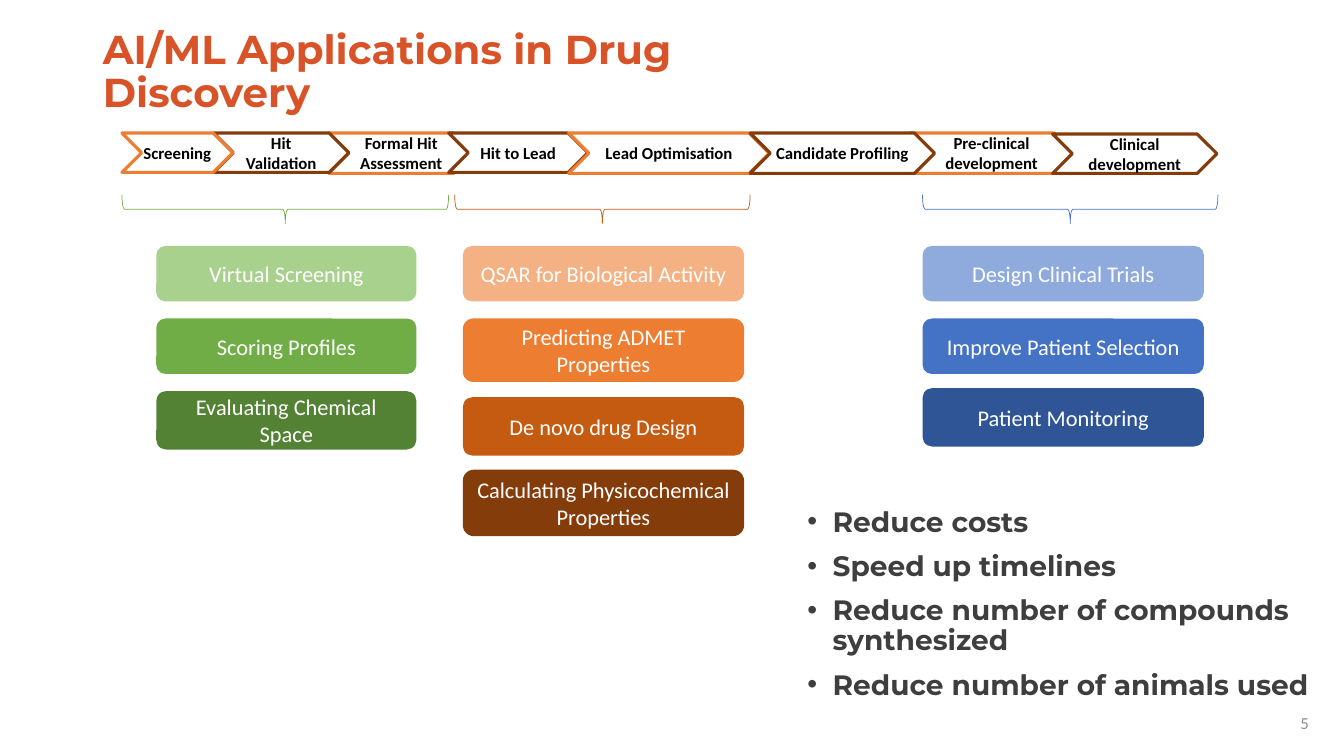
from dataclasses import dataclass

import pptx
import pptx.dml.color
import pptx.enum.shapes
import pptx.enum.text
import pptx.util
from lxml import etree
from pptx.util import Inches

COLORS = {
    "title": "D85327", "body": "3E3E3E", "number": "8C8C8C",
    "black": "000000", "white": "FFFFFF",
    "green light": "A9D18E", "green": "70AD47", "green dark": "548235",
    "orange light": "F4B183", "orange": "ED7D31", "rust": "C55A11", "brown": "843C0B",
    "blue light": "8FAADC", "blue": "4472C4", "blue dark": "2F5597",
}
SHAPES = pptx.enum.shapes.MSO_SHAPE
ALIGN = pptx.enum.text.PP_ALIGN
BRACE_TOP, BRACE_DEPTH = 1.93, 0.29


@dataclass
class Stage:
    label: str
    left: float
    width: float
    color: str
    top: float = 1.32
    height: float = 0.4


@dataclass
class Card:
    label: str
    color: str
    top: float
    height: float


@dataclass
class Column:
    left: float
    width: float
    brace_left: float
    brace_span: float
    brace_color: str
    cards: list[Card]


# Listed from back to front, because neighbouring chevrons overlap
STAGES = [
    Stage("Formal Hit\nAssessment", 3.26, 1.44, "orange"),
    Stage("Hit to Lead", 4.45, 1.38, "brown", height=0.39),
    Stage("Lead Optimisation", 5.64, 1.99, "orange"),
    Stage("Pre-clinical\ndevelopment", 9.02, 1.63, "orange"),
    Stage("Candidate Profiling", 7.44, 1.83, "brown"),
    Stage("Hit\nValidation", 2.12, 1.34, "brown", height=0.39),
    Stage("Screening", 1.21, 1.1, "orange", height=0.39),
    Stage("Clinical\ndevelopment", 10.44, 1.63, "brown", top=1.33, height=0.39),
]
COLUMNS = [
    Column(1.55, 2.58, 1.21, 3.24, "green", [
        Card("Virtual Screening", "green light", 2.44, 0.55),
        Card("Scoring Profiles", "green", 3.16, 0.55),
        Card("Evaluating Chemical Space", "green dark", 3.88, 0.58),
    ]),
    Column(4.59, 2.79, 4.51, 2.93, "rust", [
        Card("QSAR for Biological Activity", "orange light", 2.44, 0.55),
        Card("Predicting ADMET Properties", "orange", 3.16, 0.63),
        Card("De novo drug Design", "rust", 3.94, 0.58),
        Card("Calculating Physicochemical Properties", "brown", 4.66, 0.66),
    ]),
    Column(9.15, 2.79, 9.15, 2.93, "blue", [
        Card("Design Clinical Trials", "blue light", 2.44, 0.55),
        Card("Improve Patient Selection", "blue", 3.16, 0.55),
        Card("Patient Monitoring", "blue dark", 3.85, 0.58),
    ]),
]
BENEFITS = [
    "Reduce costs",
    "Speed up timelines",
    "Reduce number of compounds synthesized",
    "Reduce number of animals used",
]


def rgb(name: str) -> pptx.dml.color.RGBColor:
    return pptx.dml.color.RGBColor.from_string(COLORS[name])


def write_text(shape, text: str, size: float, color: str, align, font: str = "Calibri",
               bold: bool = False, wrap: bool = True, middle: bool = True) -> None:
    frame = shape.text_frame
    frame.text = text
    frame.word_wrap = wrap
    frame.auto_size = pptx.enum.text.MSO_AUTO_SIZE.NONE
    anchors = pptx.enum.text.MSO_ANCHOR
    frame.vertical_anchor = anchors.MIDDLE if middle else anchors.TOP
    for paragraph in frame.paragraphs:
        paragraph.alignment = align
        paragraph.font.name = font
        paragraph.font.size = pptx.util.Pt(size)
        paragraph.font.bold = bold
        paragraph.font.color.rgb = rgb(color)


def add_plain_shape(slide, kind, left: float, top: float, width: float, height: float,
                    fill: str = "", line: str = "", line_width: float = 0):
    shape = slide.shapes.add_shape(kind, Inches(left), Inches(top), Inches(width), Inches(height))
    shape.shadow.inherit = False
    if fill:
        shape.fill.solid()
        shape.fill.fore_color.rgb = rgb(fill)
    else:
        shape.fill.background()
    if line:
        shape.line.color.rgb = rgb(line)
        shape.line.width = pptx.util.Pt(line_width)
    else:
        shape.line.fill.background()
    return shape


def add_stage(slide, stage: Stage) -> None:
    chevron = add_plain_shape(slide, SHAPES.CHEVRON, stage.left, stage.top, stage.width,
                              stage.height, "white", stage.color, 2.25)
    write_text(chevron, stage.label, 12, "black", ALIGN.CENTER, bold=True, wrap=False)


def add_column(slide, column: Column) -> None:
    # A left brace turned to point down keeps its centre
    shift = (column.brace_span - BRACE_DEPTH) / 2
    brace = add_plain_shape(slide, SHAPES.LEFT_BRACE, column.brace_left + shift,
                            BRACE_TOP - shift, BRACE_DEPTH, column.brace_span,
                            line=column.brace_color, line_width=0.5)
    brace.rotation = 270
    for card in column.cards:
        box = add_plain_shape(slide, SHAPES.ROUNDED_RECTANGLE, column.left, card.top,
                              column.width, card.height, card.color)
        write_text(box, card.label, 16, "white", ALIGN.CENTER)


def add_benefits(slide) -> None:
    box = slide.shapes.add_textbox(Inches(7.91), Inches(4.99), Inches(5.48), Inches(2.34))
    box.text_frame.text = "\n".join(BENEFITS)
    for index, paragraph in enumerate(box.text_frame.paragraphs):
        paragraph.line_spacing = 0.9
        paragraph.space_before = pptx.util.Pt(10 if index else 0)
        properties = paragraph._p.get_or_add_pPr()
        properties.set("marL", str(Inches(0.25)))
        properties.set("indent", str(-Inches(0.25)))
        font = etree.SubElement(properties, pptx.oxml.ns.qn("a:buFont"))
        font.set("typeface", "Arial")
        bullet = etree.SubElement(properties, pptx.oxml.ns.qn("a:buChar"))
        bullet.set("char", "•")
        paragraph.font.name = "Montserrat"
        paragraph.font.size = pptx.util.Pt(20)
        paragraph.font.bold = True
        paragraph.font.color.rgb = rgb("body")
    box.text_frame.word_wrap = True


def main() -> None:
    presentation = pptx.Presentation()
    presentation.slide_width = Inches(13.33)
    presentation.slide_height = Inches(7.5)
    slide = presentation.slides.add_slide(presentation.slide_layouts.get_by_name("Title Only"))

    # Title
    title = slide.shapes.title
    title.left, title.top = Inches(0.92), Inches(0.4)
    title.width, title.height = Inches(7.91), Inches(0.65)
    write_text(title, "AI/ML Applications in Drug Discovery", 28.8, "title", ALIGN.LEFT,
               font="Montserrat", bold=True)
    title.text_frame.paragraphs[0].line_spacing = 0.9

    # Slide number
    number = slide.shapes.add_textbox(Inches(12.6), Inches(6.97), Inches(0.48), Inches(0.4))
    write_text(number, "5", 12, "number", ALIGN.RIGHT)

    # Pipeline, application columns and benefits
    for stage in STAGES:
        add_stage(slide, stage)
    for column in COLUMNS:
        add_column(slide, column)
    add_benefits(slide)

    presentation.save("out.pptx")


if __name__ == "__main__":
    main()
